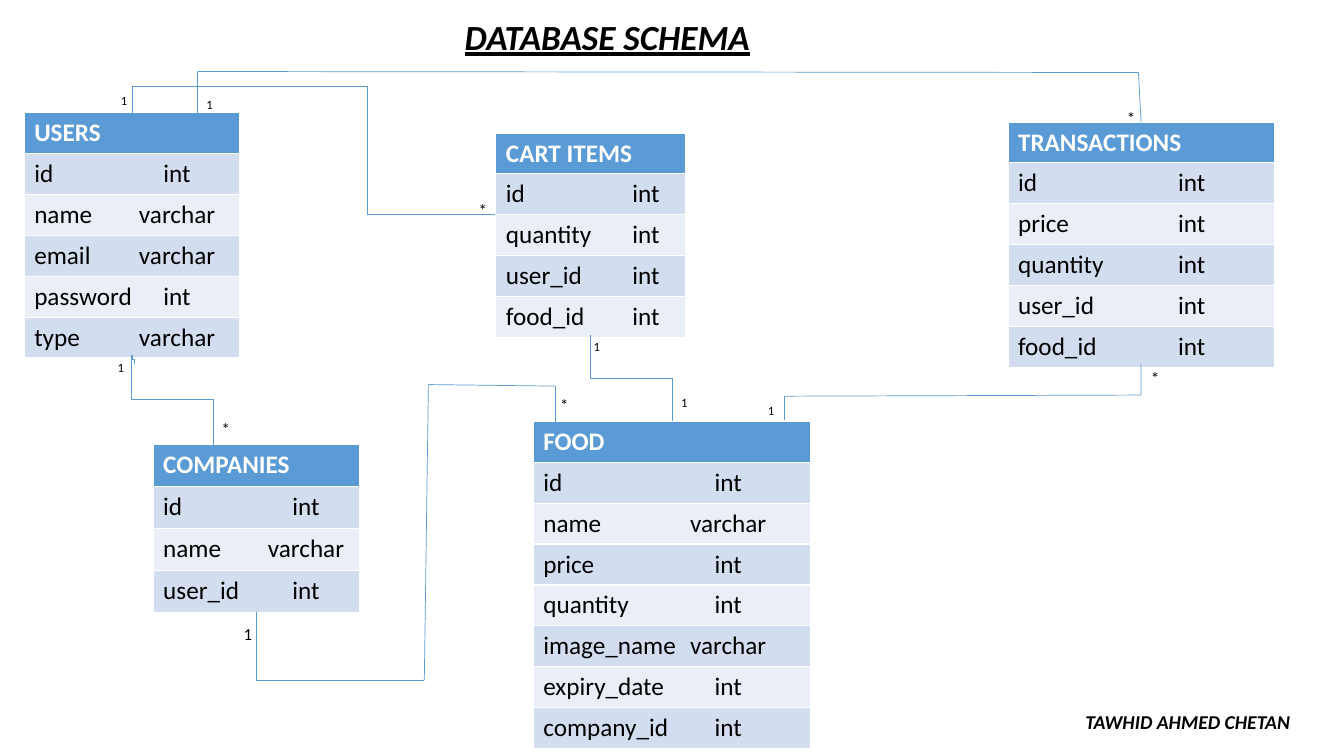
from dataclasses import dataclass
from itertools import pairwise

from lxml.etree import SubElement
from pptx import Presentation
from pptx.dml.color import RGBColor
from pptx.enum.shapes import MSO_CONNECTOR
from pptx.enum.text import MSO_ANCHOR, MSO_AUTO_SIZE, PP_ALIGN
from pptx.oxml.ns import qn
from pptx.shapes.connector import Connector
from pptx.shapes.graphfrm import GraphicFrame
from pptx.slide import Slide
from pptx.text.text import _Paragraph as Paragraph
from pptx.util import Pt

BLACK = RGBColor(0x00, 0x00, 0x00)
WHITE = RGBColor(0xFF, 0xFF, 0xFF)
BLUE = RGBColor(0x5B, 0x9B, 0xD5)
BANDS = (RGBColor(0xEA, 0xEF, 0xF7), RGBColor(0xD2, 0xDE, 0xEF))
FONT = "Calibri"
TOP, BOTTOM = 0, 2

Point = tuple[float, float]


@dataclass(frozen=True)
class Entity:
    name: str
    left: float
    top: float
    width: float
    type_center: float
    fields: tuple[tuple[str, str], ...]
    row_height: float = 28.8


@dataclass(frozen=True)
class Elbow:
    start: Point
    end: Point
    preset: str = "bentConnector3"
    adjustments: tuple[int, ...] = (50000,)


@dataclass(frozen=True)
class Route:
    points: tuple[Point, ...]
    begin: tuple[str, int] | None = None
    end: tuple[str, int] | None = None


@dataclass(frozen=True)
class Label:
    text: str
    left: float
    top: float
    size: float
    width: float = 20
    height: float = 20
    emphasis: bool = False


ENTITIES = (
    Entity("USERS", 17.3, 80.6, 154.1, 102, (
        ("id", "int"), ("name", "varchar"), ("email", "varchar"),
        ("password", "int"), ("type", "varchar"))),
    Entity("CART ITEMS", 354.2, 95, 135.4, 100, (
        ("id", "int"), ("quantity", "int"), ("user_id", "int"), ("food_id", "int"))),
    Entity("COMPANIES", 109.4, 317.5, 147.6, 102, (
        ("id", "int"), ("name", "varchar"), ("user_id", "int")), 30),
    Entity("FOOD", 380.9, 301, 198.4, 132, (
        ("id", "int"), ("name", "varchar"), ("price", "int"), ("quantity", "int"),
        ("image_name", "varchar"), ("expiry_date", "int"), ("company_id", "int"))),
    Entity("TRANSACTIONS", 720, 87.1, 190.1, 124, (
        ("id", "int"), ("price", "int"), ("quantity", "int"),
        ("user_id", "int"), ("food_id", "int"))),
)

ELBOWS = (
    Elbow((94.3, 80.6), (353.5, 153.4), "bentConnector4", (-25800, 64800)),
    Elbow((94.3, 253.4), (95.8, 259.9)),
    Elbow((93.6, 253.4), (152.6, 317.5)),
    Elbow((421.9, 239), (480.2, 301)),
)

ROUTES = (
    Route(((560.2, 300.2), (560.2, 283), (815, 282.2), (815, 259.9)),
          end=("TRANSACTIONS", BOTTOM)),
    Route(((183.2, 437.5), (183.2, 486), (303.1, 486), (306, 274.7),
           (396.7, 275.8), (396.7, 302.4)), begin=("COMPANIES", BOTTOM)),
    Route(((141.1, 80.6), (141.1, 51.1), (813.2, 51.8), (815, 87.1)),
          end=("TRANSACTIONS", TOP)),
)

LABELS = (
    Label("1", 79.2, 62.6, 9),
    Label("*", 334.8, 139, 12),
    Label("1", 140.4, 65.5, 9),
    Label("*", 797.8, 73.4, 12),
    Label("1", 77, 253.4, 9),
    Label("*", 151.2, 295.9, 12),
    Label("1", 167, 442.1, 12),
    Label("*", 393.1, 278.6, 12),
    Label("1", 416.9, 238.3, 9),
    Label("1", 479.5, 278.6, 9),
    Label("1", 541.4, 284.4, 9),
    Label("*", 815, 259.2, 12),
    Label("TAWHID AHMED CHETAN", 768.2, 503.3, 14, 236.2, 24.5, True),
)


def format_font(paragraph: Paragraph, size: float, color: RGBColor = BLACK,
                bold: bool = False, italic: bool = False) -> None:
    font = paragraph.font
    font.name, font.size = FONT, Pt(size)
    font.bold, font.italic = bold, italic
    font.color.rgb = color


def add_title(slide: Slide) -> None:
    title = slide.shapes.title
    title.left, title.top, title.width, title.height = Pt(324.7), Pt(7.2), Pt(252), Pt(69.8)
    frame = title.text_frame
    frame.auto_size = MSO_AUTO_SIZE.NONE
    frame.vertical_anchor = MSO_ANCHOR.MIDDLE
    frame.margin_bottom = Pt(32)
    frame.text = "DATABASE SCHEMA"
    paragraph = frame.paragraphs[0]
    paragraph.alignment, paragraph.line_spacing = PP_ALIGN.LEFT, 0.9
    format_font(paragraph, 25.2, bold=True, italic=True)
    paragraph.font.underline = True


def add_center_tab(paragraph: Paragraph, position: float) -> None:
    properties = paragraph._p.get_or_add_pPr()
    tabs = SubElement(properties, qn("a:tabLst"))
    SubElement(tabs, qn("a:tab"), pos=str(Pt(position)), algn="ctr")
    properties.insert(0, tabs)


def add_entity(slide: Slide, entity: Entity) -> GraphicFrame:
    row_count = len(entity.fields) + 1
    frame = slide.shapes.add_table(
        row_count, 1, Pt(entity.left), Pt(entity.top),
        Pt(entity.width), Pt(entity.row_height * row_count))
    texts = [entity.name] + ["\t".join(field) for field in entity.fields]
    for index, text in enumerate(texts):
        is_header = index == 0
        cell = frame.table.cell(index, 0)
        cell.fill.solid()
        cell.fill.fore_color.rgb = BLUE if is_header else BANDS[index % 2]
        paragraph = cell.text_frame.paragraphs[0]
        paragraph.text = text
        format_font(paragraph, 18, WHITE if is_header else BLACK, bold=is_header)
        if not is_header:
            add_center_tab(paragraph, entity.type_center)
    return frame


def add_line(slide: Slide, kind: MSO_CONNECTOR, start: Point, end: Point) -> Connector:
    connector = slide.shapes.add_connector(kind, *(Pt(value) for value in start + end))
    connector.line.color.rgb = BLUE
    connector.line.width = Pt(0.5)
    SubElement(connector._element.spPr, qn("a:effectLst"))
    return connector


def add_elbow(slide: Slide, elbow: Elbow) -> None:
    """Draw a bent connector that leaves its start point vertically."""
    (x1, y1), (x2, y2) = elbow.start, elbow.end
    center_x, center_y = (x1 + x2) / 2, (y1 + y2) / 2
    half_width, half_height = (y2 - y1) / 2, (x2 - x1) / 2
    connector = add_line(slide, MSO_CONNECTOR.ELBOW,
                         (center_x - half_width, center_y - half_height),
                         (center_x + half_width, center_y + half_height))
    properties = connector._element.spPr
    transform = properties.find(qn("a:xfrm"))
    transform.set("rot", "5400000")
    transform.set("flipV", "1")
    geometry = properties.find(qn("a:prstGeom"))
    geometry.set("prst", elbow.preset)
    guides = geometry.find(qn("a:avLst"))
    for number, value in enumerate(elbow.adjustments, start=1):
        SubElement(guides, qn("a:gd"), name=f"adj{number}", fmla=f"val {value}")


def add_route(slide: Slide, route: Route, tables: dict[str, GraphicFrame]) -> None:
    lines = [add_line(slide, MSO_CONNECTOR.STRAIGHT, start, end)
             for start, end in pairwise(route.points)]
    if route.begin:
        name, site = route.begin
        lines[0].begin_connect(tables[name], site)
    if route.end:
        name, site = route.end
        lines[-1].end_connect(tables[name], site)


def add_label(slide: Slide, label: Label) -> None:
    box = slide.shapes.add_textbox(Pt(label.left), Pt(label.top),
                                   Pt(label.width), Pt(label.height))
    box.text_frame.word_wrap = True
    paragraph = box.text_frame.paragraphs[0]
    paragraph.text = label.text
    format_font(paragraph, label.size, bold=label.emphasis, italic=label.emphasis)


def main() -> None:
    presentation = Presentation()
    presentation.slide_width, presentation.slide_height = Pt(960), Pt(540)
    slide = presentation.slides.add_slide(presentation.slide_layouts[5])
    add_title(slide)
    tables = {entity.name: add_entity(slide, entity) for entity in ENTITIES}
    for elbow in ELBOWS:
        add_elbow(slide, elbow)
    for route in ROUTES:
        add_route(slide, route, tables)
    for label in LABELS:
        add_label(slide, label)
    presentation.save("out.pptx")


if __name__ == "__main__":
    main()
